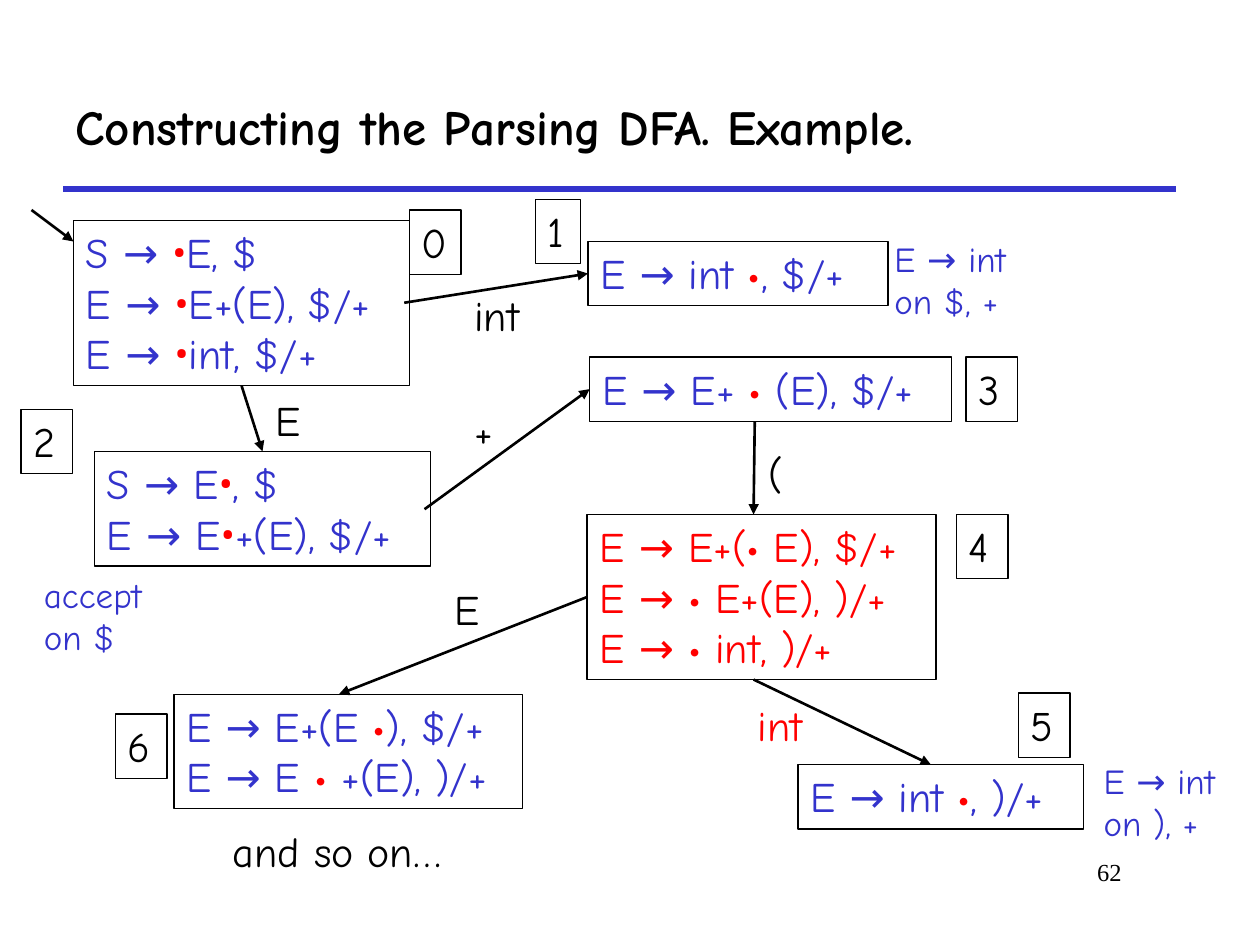
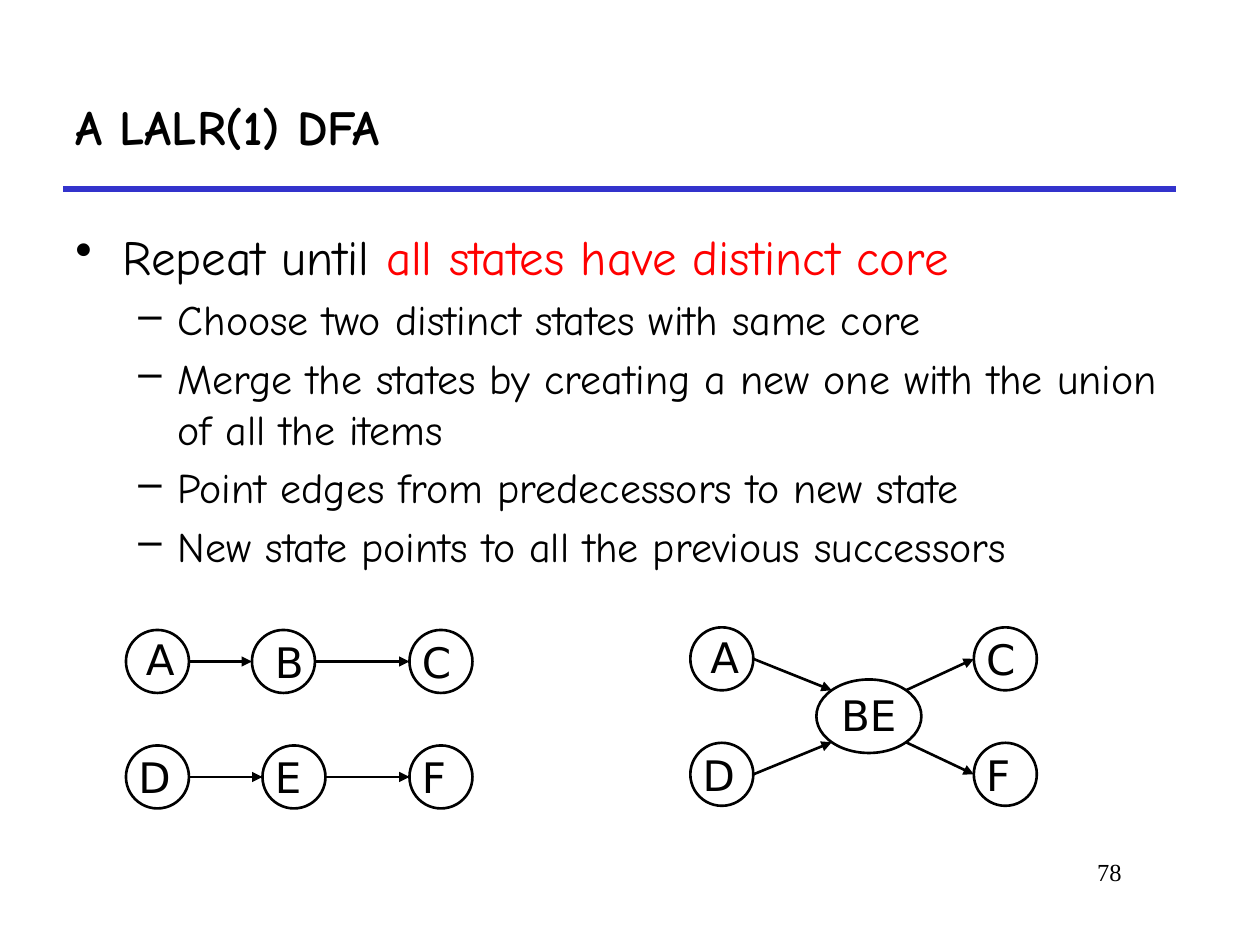
import itertools
import math

import pptx
import pptx.enum.shapes
import pptx.enum.text
import pptx.oxml.ns
import pptx.util
from lxml import etree
from pptx.dml.color import RGBColor

Pt = pptx.util.Pt
COLORS = {"ink": "000000", "blue": "3333CC", "red": "FF0000", "paper": "FFFFFF"}
BODY_FONT, SYMBOL_FONT, NODE_FONT = "Comic Neue", "Roboto", "DejaVu Sans"
NUMBER_FONT = "Times New Roman"
SHAPES = pptx.enum.shapes.MSO_SHAPE
ALIGN = pptx.enum.text.PP_ALIGN
ANCHOR = pptx.enum.text.MSO_ANCHOR
TOP, LEFT = 0, 1
BOTTOM = 2

STATES = {
    "0": (42, 18, 192, ["S → •E, $", "E → •E+(E), $/+", "E → •int, $/+"], "blue", "→•"),
    "1": (336, 30, 171.4, ["E → int •, $/+"], "blue", ""),
    "2": (54, 150, 192, ["S → E•, $", "E → E•+(E), $/+"], "blue", "•"),
    "3": (337, 96, 206.6, ["E → E+ • (E), $/+"], "blue", ""),
    "4": (335.5, 186, 199.4, ["E → E+(• E), $/+", "E → • E+(E), )/+", "E → • int, )/+"], "red", ""),
    "5": (456, 329, 163.4, ["E → int •, )/+"], "blue", ""),
    "6": (99.4, 288.7, 199.4, ["E → E+(E •), $/+", "E → E • +(E), )/+"], "blue", ""),
}
STATE_TAGS = {
    "0": (234, 12), "1": (306, 6), "2": (12, 126), "3": (552, 96),
    "4": (546.5, 186), "5": (582, 288), "6": (66, 300),
}
TRANSITIONS = [
    ((18, 12), (42, 30)),
    ((231, 65), ("1", LEFT)),
    (("0", BOTTOM), ("2", TOP)),
    ((242.6, 183), ("3", LEFT)),
    ((431.3, 132.7), (430.6, 186)),
    (("4", LEFT), (193.7, 288.7)),
    ((430.6, 280.3), (532, 329)),
]
TRANSITION_LABELS = [
    ("int", 264, 54, 45.4, "ink"), ("E", 150.5, 114, 29.5, "ink"), ("+", 264, 120, 25.9, "ink"),
    ("(", 432, 144, 23, "ink"), ("E", 252.7, 222, 29.5, "ink"), ("int", 426, 288, 45.4, "red"),
    ("and so on…", 126, 360, 133.2, "ink"),
]
ACTION_NOTES = [
    (504, 24, 90, ["E → int", "on $, +"]),
    (18, 216, 82, ["accept", "on $"]),
    (623.5, 322.6, 90, ["E → int", "on ), +"]),
]
NODE_LABELS = {
    "A": (4.3, -1.4, 31), "B": (6, 0, 31), "C": (0, 0, 31), "D": (0, 0, 33),
    "E": (0, 0, 29.5), "F": (0, 0, 28), "BE": (7, 2, 46),
}
CIRCLE = (36, 36)
SEPARATE_NODES = {
    "A": (0, 0, *CIRCLE), "B": (72, 0, *CIRCLE), "C": (162, 0, *CIRCLE),
    "D": (0, 66, *CIRCLE), "E": (78, 66, *CIRCLE), "F": (162, 66, *CIRCLE),
}
SEPARATE_EDGES = [(source, 0, target, 180) for source, target in ("AB", "BC", "DE", "EF")]
MERGED_NODES = {
    "A": (0, 0, *CIRCLE), "C": (162, 0, *CIRCLE), "D": (0, 66, *CIRCLE),
    "F": (162, 66, *CIRCLE), "BE": (72, 29.8, 60, 42),
}
MERGED_EDGES = [
    ("A", 0, "BE", 225), ("D", 0, "BE", 135), ("BE", 315, "C", 180), ("BE", 45, "F", 180),
]
MERGE_STEPS = [
    "Choose two distinct states with same core",
    "Merge the states by creating a new one with the union of all the items",
    "Point edges from predecessors to new state",
    "New state points to all the previous successors",
]


def color(name):
    """Return the named colour."""
    return RGBColor.from_string(COLORS[name])


def style(font, size, ink="ink", face=BODY_FONT, bold=False):
    """Set the size, colour, face and weight of a font."""
    font.size = Pt(size)
    font.name = face
    font.bold = bold
    font.color.rgb = color(ink)


def text_box(page, box):
    """Add an empty wrapping text box and return its frame."""
    frame = page.shapes.add_textbox(*map(Pt, box)).text_frame
    frame.word_wrap = True
    return frame


def fit(frame):
    """Let a frame take the size of its unwrapped text."""
    frame.word_wrap = False
    frame.auto_size = pptx.enum.text.MSO_AUTO_SIZE.SHAPE_TO_FIT_TEXT
    frame.vertical_anchor = ANCHOR.TOP


def write_items(frame, lines, size, ink="ink", symbols="", face=BODY_FONT):
    """Write lines with red dots, setting the given symbols in the symbol font."""
    fit(frame)
    for index, line in enumerate(lines):
        para = frame.add_paragraph() if index else frame.paragraphs[0]
        para.alignment = ALIGN.LEFT
        looks = itertools.groupby(line, lambda sign: (sign == "•", sign in symbols))
        for (is_dot, is_symbol), signs in looks:
            span = para.add_run()
            span.text = "".join(signs)
            style(span.font, size, "red" if is_dot else ink, SYMBOL_FONT if is_symbol else face)


def outline(page, preset, box, width):
    """Add an unfilled shape with a black outline."""
    shape = page.shapes.add_shape(preset, *map(Pt, box))
    shape.shadow.inherit = False
    shape.fill.background()
    shape.line.color.rgb = color("ink")
    shape.line.width = Pt(width)
    return shape


def straight_line(page, start, end, ink="ink", width=1.5, arrow=True):
    """Draw a straight line, with an arrowhead at its end if asked."""
    line = page.shapes.add_connector(
        pptx.enum.shapes.MSO_CONNECTOR.STRAIGHT, *map(Pt, (*start, *end)))
    line.line.color.rgb = color(ink)
    line.line.width = Pt(width)
    qname = pptx.oxml.ns.qn
    if arrow:
        etree.SubElement(line.line._get_or_add_ln(), qname("a:tailEnd"), type="triangle")
    etree.SubElement(line._element.spPr, qname("a:effectLst"))
    return line


def add_page(deck, title, number):
    """Add a page with its title, rule and page number."""
    page = deck.slides.add_slide(deck.slide_layouts[6])
    page.background.fill.solid()
    page.background.fill.fore_color.rgb = color("paper")
    straight_line(page, (36, 108), (672, 108), "blue", 3, arrow=False)
    frame = text_box(page, (36, 36, 636, 72))
    frame.vertical_anchor = ANCHOR.MIDDLE
    frame.text = title
    style(frame.paragraphs[0].runs[0].font, 28, bold=True)
    frame = text_box(page, (498, 486, 150, 36))
    frame.text = str(number)
    frame.paragraphs[0].alignment = ALIGN.RIGHT
    style(frame.paragraphs[0].runs[0].font, 14, face=NUMBER_FONT)
    return page


def draw_automaton(page, box):
    """Draw the numbered item sets, their transitions and their actions."""
    left, top = box[:2]
    boxes = {}
    for name, (x, y, width, items, ink, symbols) in STATES.items():
        height = 7.9 + 28.8 * len(items)
        boxes[name] = outline(page, SHAPES.RECTANGLE, (left + x, top + y, width, height), 0.75)
        write_items(boxes[name].text_frame, items, 24, ink, symbols)
    for name, (x, y) in STATE_TAGS.items():
        width = 25.9 if name == "1" else 29.5
        tag = outline(page, SHAPES.RECTANGLE, (left + x, top + y, width, 36.7), 0.75)
        write_items(tag.text_frame, [name], 24)
    for ends in TRANSITIONS:
        joined = [isinstance(end[0], str) for end in ends]
        points = [(left, top) if is_joined else (left + end[0], top + end[1])
                  for end, is_joined in zip(ends, joined)]
        line = straight_line(page, *points)
        for end, is_joined, connect in zip(ends, joined, (line.begin_connect, line.end_connect)):
            if is_joined:
                connect(boxes[end[0]], end[1])
    for text, x, y, width, ink in TRANSITION_LABELS:
        write_items(text_box(page, (left + x, top + y, width, 36)), [text], 24, ink)
    for x, y, width, lines in ACTION_NOTES:
        write_items(text_box(page, (left + x, top + y, width, 55.4)), lines, 20, "blue", "→")


def bullet(para, sign, margin, hanging):
    """Give a paragraph a hanging bullet."""
    properties = para._p.get_or_add_pPr()
    properties.set("marL", str(Pt(margin)))
    properties.set("indent", str(-Pt(hanging)))
    etree.SubElement(properties, pptx.oxml.ns.qn("a:buChar"), char=sign)


def draw_merge_steps(page, box):
    """Write the merging rule and its steps."""
    frame = text_box(page, box)
    para = frame.paragraphs[0]
    bullet(para, "•", 27, 27)
    for text, ink in (("Repeat until ", "ink"), ("all states have distinct core", "red")):
        span = para.add_run()
        span.text = text
        style(span.font, 28, ink)
    for step in MERGE_STEPS:
        para = frame.add_paragraph()
        para.text = step
        para.level = 1
        para.space_before = Pt(4.8)
        bullet(para, "–", 58.5, 22.5)
        style(para.runs[0].font, 24)


def rim_point(node, angle):
    """Return the point of an ellipse at an angle, clockwise from the right."""
    x, y, width, height = node
    turn = math.radians(angle)
    return x + width / 2 * (1 + math.cos(turn)), y + height / 2 * (1 + math.sin(turn))


def draw_graph(page, box, nodes, edges):
    """Draw labelled round nodes and the arrows between them."""
    left, top = box[:2]
    placed = {name: (left + x, top + y, width, height)
              for name, (x, y, width, height) in nodes.items()}
    for name, node in placed.items():
        outline(page, SHAPES.OVAL, node, 1.5)
        shift_x, shift_y, width = NODE_LABELS[name]
        frame = text_box(page, (node[0] + shift_x, node[1] + shift_y, width, 36))
        write_items(frame, [name], 24, face=NODE_FONT)
    for source, leave, target, arrive in edges:
        straight_line(page, rim_point(placed[source], leave), rim_point(placed[target], arrive))


def main():
    """Build and save the deck."""
    deck = pptx.Presentation()
    deck.slide_width, deck.slide_height = Pt(720), Pt(540)
    page = add_page(deck, "Constructing the Parsing DFA. Example.", 62)
    draw_automaton(page, (0, 108, 720, 396))
    page = add_page(deck, "A LALR(1) DFA", 78)
    draw_merge_steps(page, (36, 126, 654, 228))
    draw_graph(page, (72, 360, 198, 102), SEPARATE_NODES, SEPARATE_EDGES)
    draw_graph(page, (394.5, 358.5, 198, 102), MERGED_NODES, MERGED_EDGES)
    deck.save("out.pptx")


if __name__ == "__main__":
    main()
